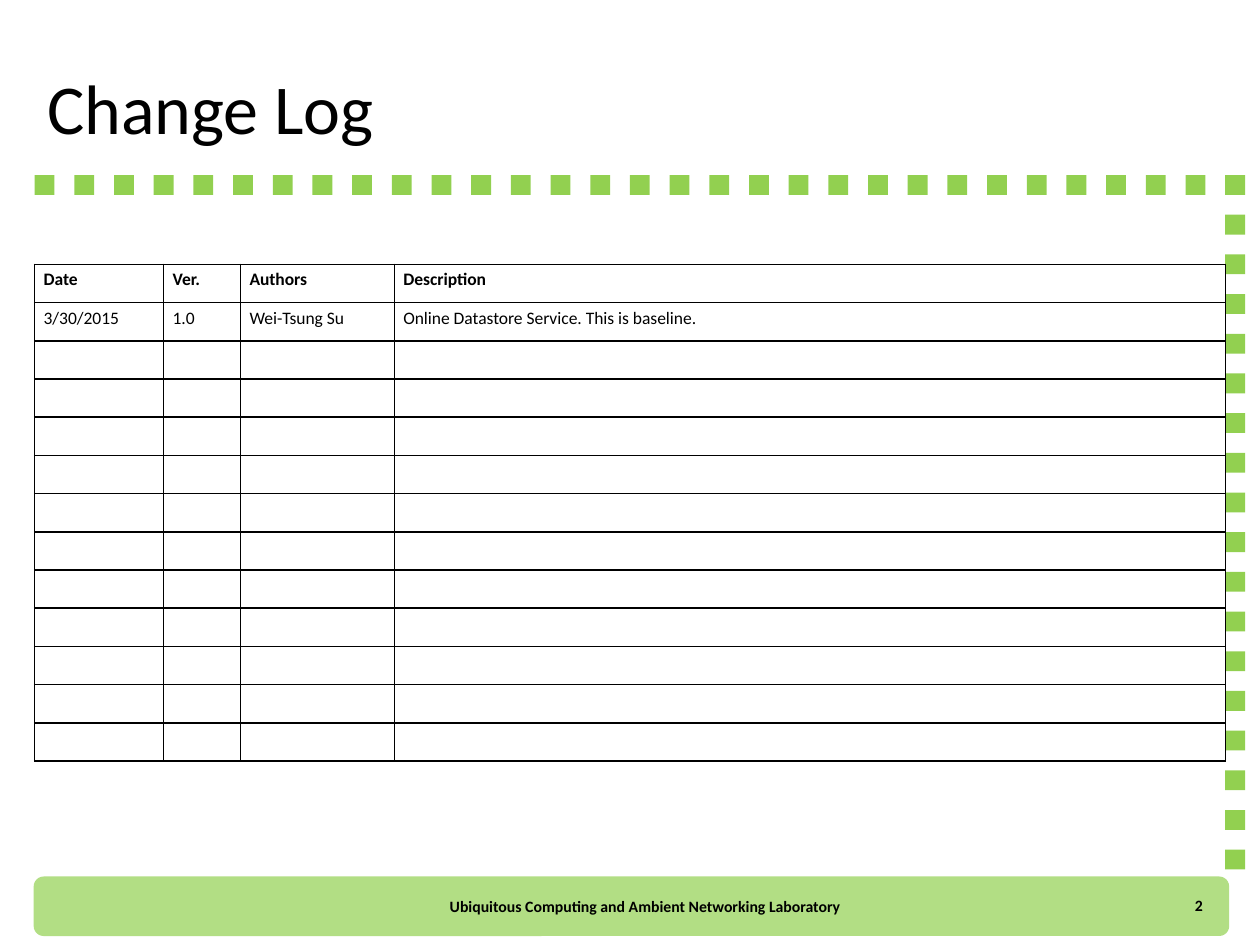
import pptx
import pptx.dml.color
import pptx.enum.shapes
import pptx.enum.text
import pptx.oxml.ns
import pptx.util
from lxml import etree
from pptx.util import Cm

SHAPE = pptx.enum.shapes.MSO_SHAPE
ALIGN = pptx.enum.text.PP_ALIGN
MIDDLE = pptx.enum.text.MSO_ANCHOR.MIDDLE
TITLE_ONLY_LAYOUT = 5

COLUMN_WIDTHS = [2.6, 1.55, 3.1, 16.75]
ROW_COUNT = 13
ROW_HEIGHT = 0.77
LOG = [
    ["Date", "Ver.", "Authors", "Description"],
    ["3/30/2015", "1.0", "Wei-Tsung Su", "Online Datastore Service. This is baseline."],
]


def color(hex_string):
    return pptx.dml.color.RGBColor.from_string(hex_string)


def add_xml(parent, tag, **attributes):
    return etree.SubElement(parent, pptx.oxml.ns.qn(tag), **attributes)


class SlideBuilder:
    """Holds the slide's style and draws each kind of element on it."""

    font_name = "Calibri"
    ink = "000000"
    accent = "92D050"

    def __init__(self, page):
        self.page = page

    def format(self, paragraph, size, bold=False, align=ALIGN.LEFT):
        paragraph.alignment = align
        font = paragraph.font
        font.name = self.font_name
        font.size = pptx.util.Pt(size)
        font.bold = bold
        font.color.rgb = color(self.ink)

    def title(self, text, left, top, width, height):
        box = self.page.shapes.title
        box.left, box.top, box.width, box.height = map(Cm, (left, top, width, height))
        box.text_frame.text = text
        box.text_frame.vertical_anchor = MIDDLE
        self.format(box.text_frame.paragraphs[0], 40)

    def shape(self, kind, left, top, width, height, opacity=100):
        shape = self.page.shapes.add_shape(kind, *map(Cm, (left, top, width, height)))
        shape.shadow.inherit = False
        shape.fill.solid()
        shape.fill.fore_color.rgb = color(self.accent)
        shape.line.fill.background()
        if opacity < 100:
            fill_color = shape.fill._xPr.find(".//" + pptx.oxml.ns.qn("a:srgbClr"))
            add_xml(fill_color, "a:alpha", val=str(opacity * 1000))

    def text(self, text, left, top, width, height, align):
        box = self.page.shapes.add_textbox(*map(Cm, (left, top, width, height)))
        frame = box.text_frame
        frame.word_wrap = True
        frame.vertical_anchor = MIDDLE
        frame.text = text
        self.format(frame.paragraphs[0], 9, bold=True, align=align)

    def table(self, rows, row_count, widths, row_height, left, top):
        """Draw a ruled table; rows beyond the given ones stay empty."""
        frame = self.page.shapes.add_table(
            row_count, len(widths), Cm(left), Cm(top),
            Cm(sum(widths)), Cm(row_height * row_count))
        table = frame.table
        table.first_row = table.horz_banding = False
        for column, width in zip(table.columns, widths):
            column.width = Cm(width)
        for row_index, row in enumerate(table.rows):
            row.height = Cm(row_height)
            for column_index, cell in enumerate(row.cells):
                if row_index < len(rows):
                    cell.text = rows[row_index][column_index]
                self.cell(cell, bold=row_index == 0)

    def cell(self, cell, bold):
        cell.margin_left = cell.margin_right = Cm(0.18)
        cell.margin_top = cell.margin_bottom = Cm(0.1)
        paragraph = cell.text_frame.paragraphs[0]
        self.format(paragraph, 10, bold)
        if not paragraph.text:
            add_xml(paragraph._p, "a:endParaRPr", sz="1000")
        properties = cell._tc.get_or_add_tcPr()
        for side in "LRTB":
            line = add_xml(properties, "a:ln" + side, w=str(pptx.util.Pt(1)))
            add_xml(add_xml(line, "a:solidFill"), "a:srgbClr", val=self.ink)
        cell.fill.background()


def main():
    deck = pptx.Presentation()
    deck.slide_width, deck.slide_height = Cm(25.4), Cm(19.05)
    page = deck.slides.add_slide(deck.slide_layouts[TITLE_ONLY_LAYOUT])
    builder = SlideBuilder(page)

    builder.shape(SHAPE.ROUNDED_RECTANGLE, 0.68, 17.67, 24.1, 1.2, opacity=70)

    left, top, side = 0.7, 3.53, 0.4
    pitch = 2 * side
    across, down = 31, 17
    corner = left + (across - 1) * pitch
    dots = [(left + index * pitch, top) for index in range(across)]
    dots += [(corner, top + index * pitch) for index in range(1, down + 1)]
    for dot_left, dot_top in dots:
        builder.shape(SHAPE.RECTANGLE, dot_left, dot_top, side, side)

    builder.title("Change Log", 0.7, 0.76, 20, 2.77)
    builder.table(LOG, ROW_COUNT, COLUMN_WIDTHS, ROW_HEIGHT, 0.7, 5.33)
    builder.text("Ubiquitous Computing and Ambient Networking Laboratory",
                 4.1, 17.75, 17.8, 1.02, ALIGN.CENTER)
    builder.text("2", 22.3, 17.75, 2.2, 1, ALIGN.RIGHT)

    deck.save("out.pptx")


if __name__ == "__main__":
    main()
